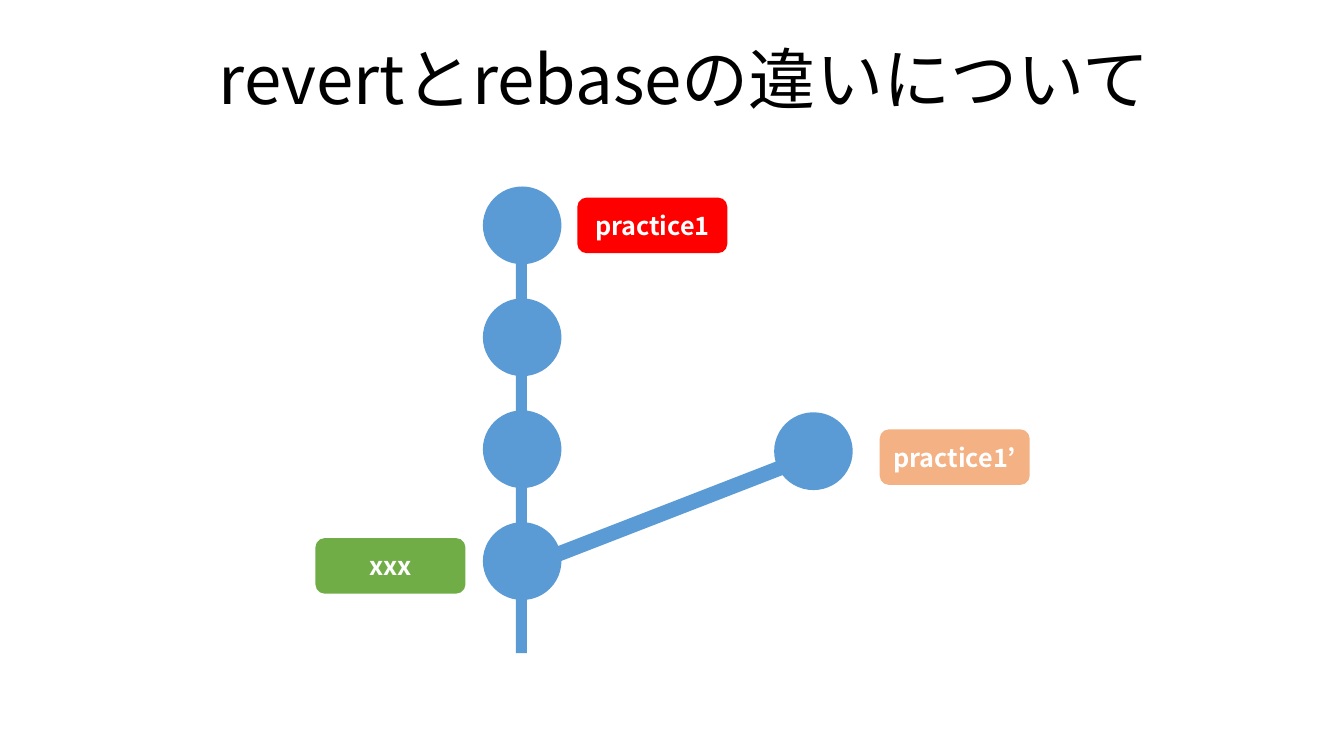
from pptx import Presentation
from pptx.dml.color import RGBColor
from pptx.enum.shapes import MSO_SHAPE as Kind
from pptx.enum.text import MSO_ANCHOR as Anchor, MSO_AUTO_SIZE as Fit, PP_ALIGN as Align
from pptx.oxml import parse_xml
from pptx.oxml.ns import nsdecls
from pptx.util import Cm, Pt

FONT = "Noto Sans CJK JP"
BLUE = "5B9BD5"
NODE = (1.98, 1.96)
TAG = (3.78, 1.4)
STEP = 2.82


def color(code):
    """Turn a hex string into a colour."""
    return RGBColor.from_string(code)


def write(shape, text, size, code, bold=False):
    """Put one centred line of text into a shape."""
    shape.text_frame.text = text
    line = shape.text_frame.paragraphs[0]
    line.alignment = Align.CENTER
    run = line.runs[0]
    run.font.size = Pt(size)
    run.font.bold = bold
    run.font.name = FONT
    run.font.color.rgb = color(code)
    east = parse_xml(f'<a:ea {nsdecls("a")} typeface="{FONT}"/>')
    run.font._element.find("{*}latin").addnext(east)


def draw(shapes, kind, left, top, size, code):
    """Add a flat filled shape without an outline."""
    shape = shapes.add_shape(kind, Cm(left), Cm(top), *map(Cm, size))
    shape.shadow.inherit = False
    shape.fill.solid()
    shape.fill.fore_color.rgb = color(code)
    shape.line.fill.background()
    return shape


def label(shapes, left, top, text, code):
    """Add a rounded tag that names a commit."""
    tag = draw(shapes, Kind.ROUNDED_RECTANGLE, left, top, TAG, code)
    tag.text_frame.vertical_anchor = Anchor.MIDDLE
    tag.text_frame.word_wrap = True
    write(tag, text, 18, "FFFFFF", True)


def title(shapes, left, top, width, height):
    """Add the slide heading in the given box."""
    box = shapes.add_textbox(Cm(left), Cm(top), Cm(width), Cm(height))
    box.text_frame.word_wrap = True
    box.text_frame.auto_size = Fit.SHAPE_TO_FIT_TEXT
    write(box, "revertとrebaseの違いについて", 48, "000000")


def trunk(shapes, left, top, height):
    """Add the main line of commits with its two tags."""
    group = shapes.add_group_shape().shapes
    for row in range(4):
        draw(group, Kind.OVAL, left + 4.22, top + row * STEP, NODE, BLUE)
    draw(group, Kind.RECTANGLE, left + 5.05, top + 0.23, (0.28, height - 0.23), BLUE)
    label(group, left + 6.6, top + 0.28, "practice1", "FF0000")
    label(group, left, top + 8.86, "xxx", "70AD47")


def branch(shapes, left, top):
    """Add the side commit, its slanted link and its tag."""
    draw(shapes, Kind.OVAL, left + 6.01, top, NODE, BLUE)
    link = draw(shapes, Kind.RECTANGLE, left + 3.57, top - 1.68, (0.38, 8.03), BLUE)
    link.rotation = 68.8
    label(shapes, left + 8.67, top + 0.43, "practice1’", "F4B183")


def main():
    """Build the slide and save it."""
    deck = Presentation()
    deck.slide_width, deck.slide_height = Cm(33.87), Cm(19.05)
    shapes = deck.slides.add_slide(deck.slide_layouts[6]).shapes
    title(shapes, 0.64, 0.81, 33.22, 2.31)
    trunk(shapes, 7.95, 4.7, 11.76)
    branch(shapes, 13.5, 10.39)
    deck.save("out.pptx")


if __name__ == "__main__":
    main()
